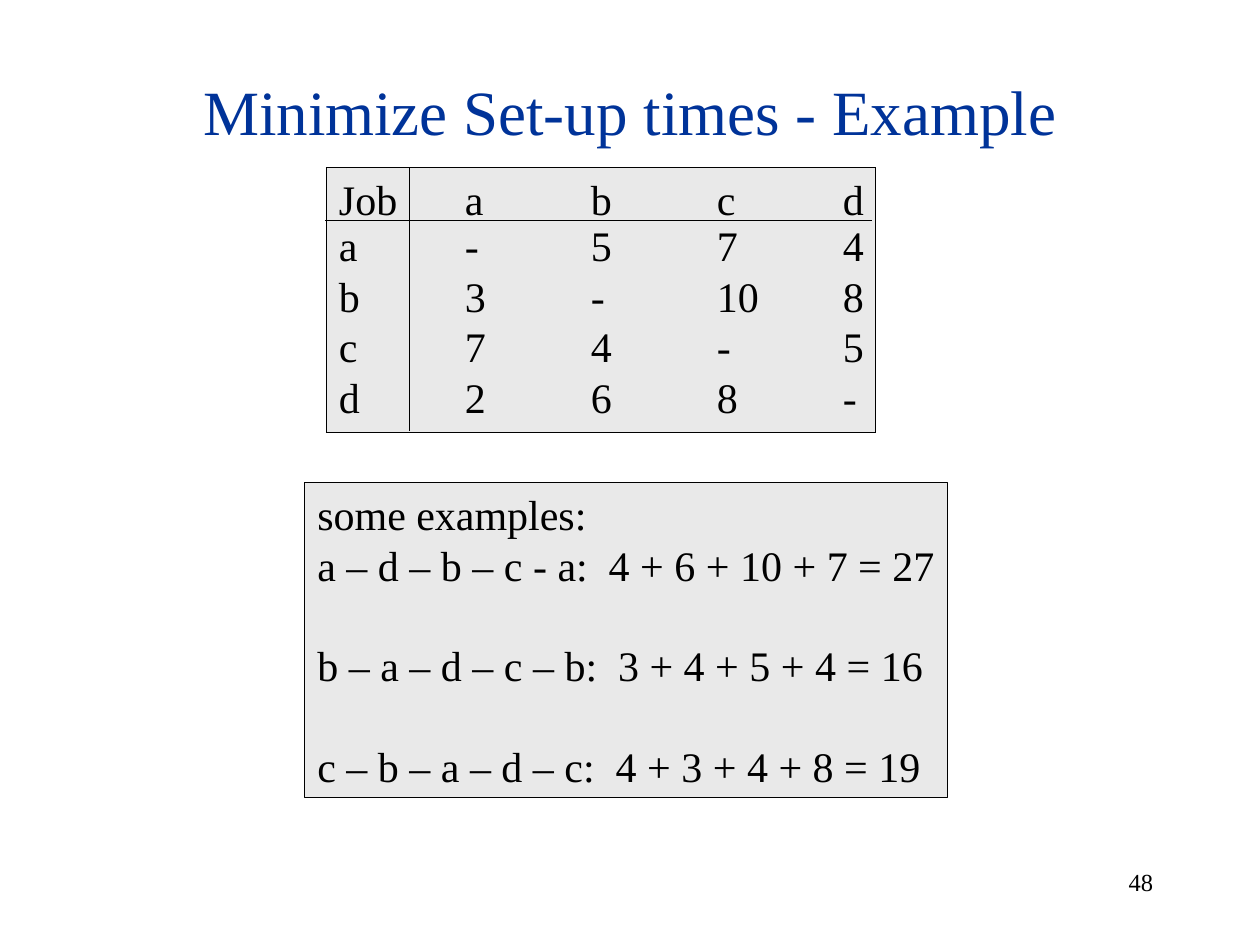
from dataclasses import dataclass

from lxml import etree
from pptx import Presentation
from pptx.dml.color import RGBColor
from pptx.enum.shapes import MSO_CONNECTOR, MSO_SHAPE
from pptx.enum.text import MSO_ANCHOR, PP_ALIGN
from pptx.oxml.ns import qn
from pptx.util import Inches, Pt

RECT, LINE = MSO_SHAPE.RECTANGLE, MSO_CONNECTOR.STRAIGHT
MID, TOP, LOW = MSO_ANCHOR.MIDDLE, MSO_ANCHOR.TOP, MSO_ANCHOR.BOTTOM
LEFT, CENTER, RIGHT = PP_ALIGN.LEFT, PP_ALIGN.CENTER, PP_ALIGN.RIGHT
TITLE_ONLY = 5


@dataclass(frozen=True)
class Theme:
    font: str = "Times New Roman"
    ink: str = "000000"
    blue: str = "003399"
    panel: str = "E9E9E9"
    head: int = 36
    body: int = 24
    note: int = 14
    frame: float = 0.5
    rule: float = 0.75
    pad: float = 0.1


class Deck:
    """Holds the theme and the current slide; lengths are in a grid of inches."""

    def __init__(self, theme):
        self.theme = theme
        self.prs = Presentation()
        self.prs.slide_width, self.prs.slide_height = Inches(10), Inches(7.5)
        self.slide = self.prs.slides.add_slide(self.prs.slide_layouts[TITLE_ONLY])

    def style(self, para, size, color, align=LEFT):
        para.alignment = align
        for run in para.runs:
            run.font.name = self.theme.font
            run.font.size = Pt(size)
            run.font.color.rgb = RGBColor.from_string(color)

    def title(self, text, *box):
        shape = self.slide.shapes.title
        shape.left, shape.top, shape.width, shape.height = map(Inches, box)
        frame = shape.text_frame
        frame.text = text
        frame.vertical_anchor = MID
        self.style(frame.paragraphs[0], self.theme.head, self.theme.blue, CENTER)

    def note(self, text, *box):
        frame = self.slide.shapes.add_textbox(*map(Inches, box)).text_frame
        frame.word_wrap = True
        frame.text = text
        self.style(frame.paragraphs[0], self.theme.note, self.theme.ink, RIGHT)

    def rule(self, *ends):
        line = self.slide.shapes.add_connector(LINE, *map(Inches, ends))
        line.line.color.rgb = RGBColor.from_string(self.theme.ink)
        line.line.width = Pt(self.theme.rule)
        etree.SubElement(line._element.spPr, qn("a:effectLst"))

    def panel(self, lines, gaps, *box):
        """A framed box of lines; gaps are the points above each line."""
        look = self.theme
        shape = self.slide.shapes.add_shape(RECT, *map(Inches, box))
        shape.shadow.inherit = False
        shape.fill.solid()
        shape.fill.fore_color.rgb = RGBColor.from_string(look.panel)
        shape.line.color.rgb = RGBColor.from_string(look.ink)
        shape.line.width = Pt(look.frame)
        frame = shape.text_frame
        frame.word_wrap = False
        frame.vertical_anchor = TOP
        frame.text = "\n".join(lines)
        for para, gap in zip(frame.paragraphs, gaps):
            para.space_before = Pt(gap)
            self.style(para, look.body, look.ink)

    def edge(self, cell, side, shown):
        """Draw one cell border, or clear it."""
        line = etree.SubElement(cell._tc.get_or_add_tcPr(), qn("a:" + side),
                                w=str(Pt(self.theme.frame)))
        if shown:
            fill = etree.SubElement(line, qn("a:solidFill"))
            etree.SubElement(fill, qn("a:srgbClr"), val=self.theme.ink)
        else:
            etree.SubElement(line, qn("a:noFill"))

    def table(self, rows, left, top, widths, heights, inset):
        """A framed table; inset is the text indent after the first column."""
        look = self.theme
        last_row, last_col = len(rows) - 1, len(widths) - 1
        table = self.slide.shapes.add_table(
            len(rows), len(widths), Inches(left), Inches(top),
            Inches(sum(widths)), Inches(sum(heights))).table
        for col, width in zip(table.columns, widths):
            col.width = Inches(width)
        for r, row in enumerate(rows):
            table.rows[r].height = Inches(heights[r])
            for c, text in enumerate(row):
                cell = table.cell(r, c)
                cell.text = text
                # Spare height goes above the first row and below the last
                cell.vertical_anchor = TOP if r else LOW
                cell.margin_top = cell.margin_bottom = cell.margin_right = 0
                cell.margin_left = Inches(inset if c else look.pad)
                self.style(cell.text_frame.paragraphs[0], look.body, look.ink)
                self.edge(cell, "lnL", c == 0)
                self.edge(cell, "lnR", c == last_col)
                self.edge(cell, "lnT", r == 0)
                self.edge(cell, "lnB", r == last_row)
                cell.fill.solid()
                cell.fill.fore_color.rgb = RGBColor.from_string(look.panel)


def main():
    deck = Deck(Theme())

    # Title and page number
    deck.title("Minimize Set-up times - Example", 0.75, 0.5, 8.5, 0.75)
    deck.note("48", 7.17, 6.83, 2.08, 0.5)

    # Set-up times from each job (row) to each job (column)
    times = ["Job a b c d", "a - 5 7 4", "b 3 - 10 8", "c 7 4 - 5", "d 2 6 8 -"]
    deck.table([row.split() for row in times], 2.59, 1.33,
               [0.66, 1, 1, 1, 0.7], [0.45, 0.4, 0.4, 0.4, 0.45], 0.44)

    # Rules under the header row and beside the job names
    deck.rule(2.58, 1.75, 6.92, 1.75)
    deck.rule(3.25, 1.33, 3.25, 3.42)

    # Sample tours with their total set-up time
    tours = [
        "some examples:",
        "a – d – b – c - a:  4 + 6 + 10 + 7 = 27",
        "b – a – d – c – b:  3 + 4 + 5 + 4 = 16",
        "c – b – a – d – c:  4 + 3 + 4 + 8 = 19",
    ]
    deck.panel(tours, [0, 0, 28.8, 28.8], 2.42, 3.83, 5.1, 2.5)

    deck.prs.save("out.pptx")


if __name__ == "__main__":
    main()
